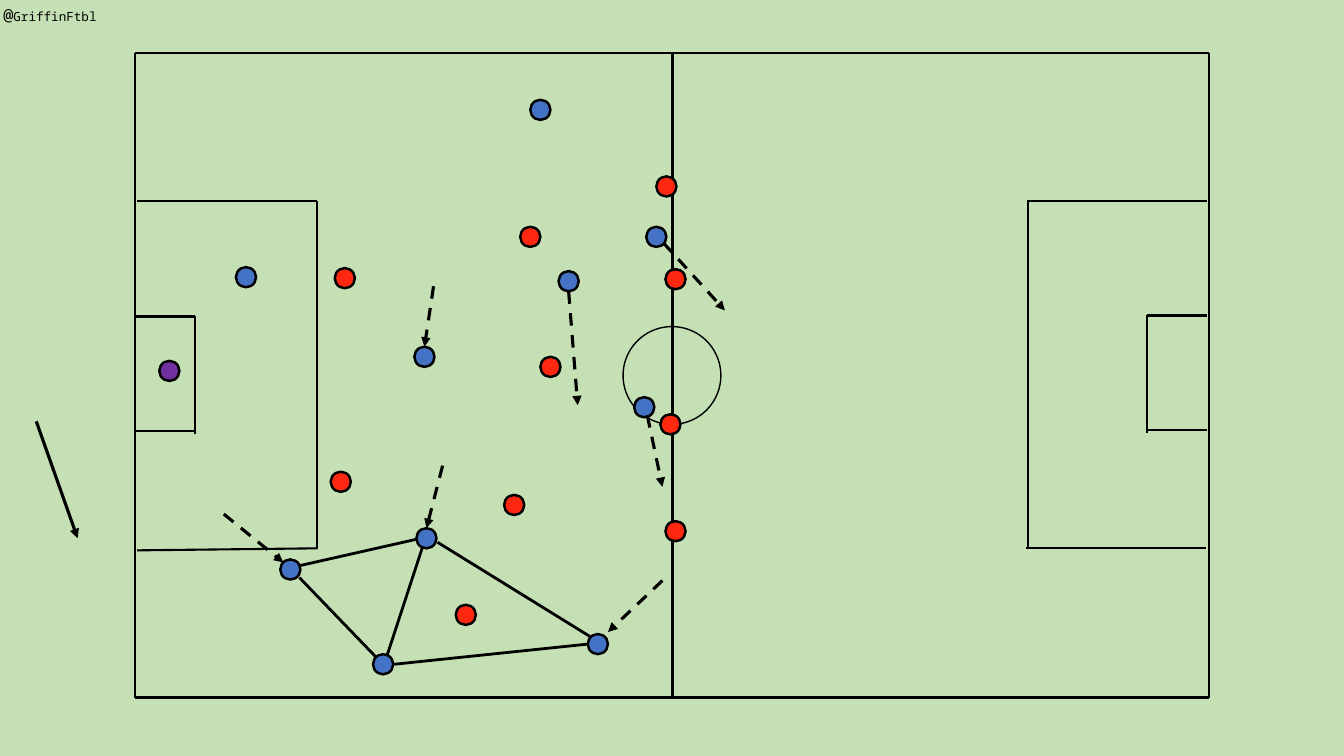
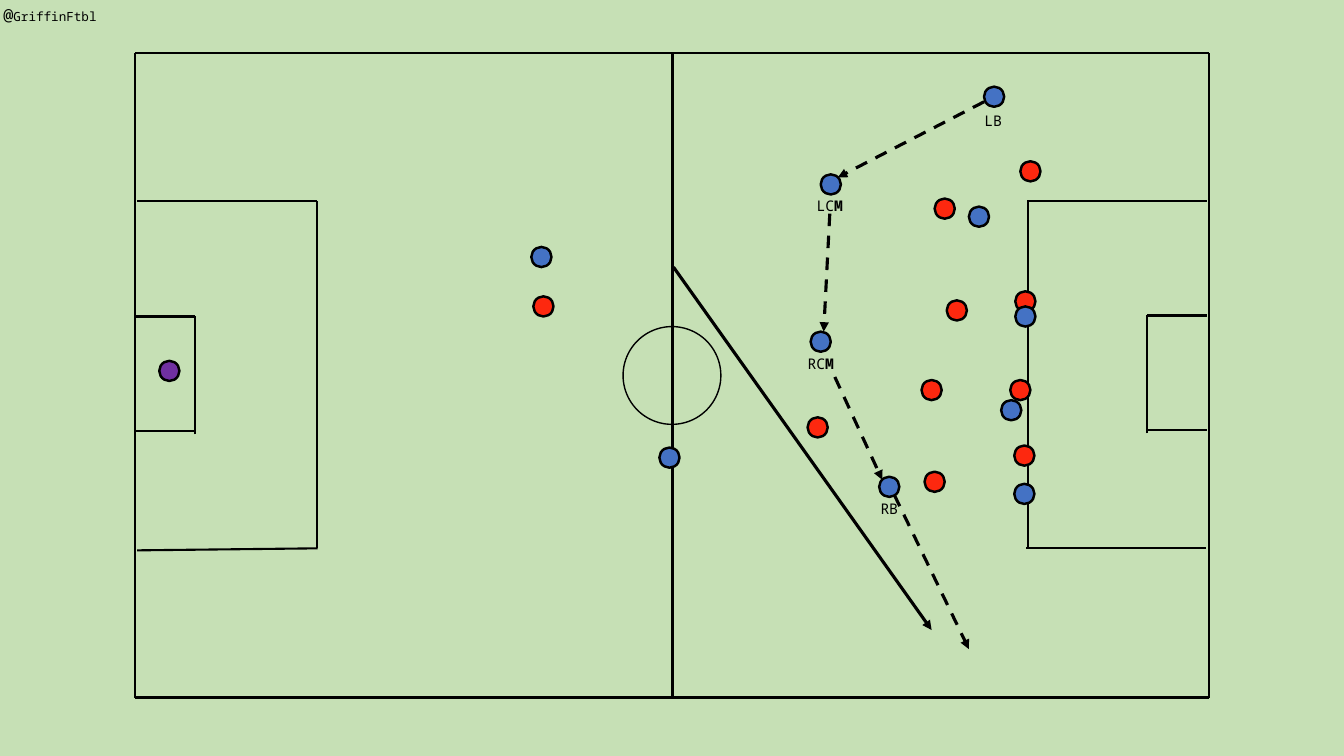
"""Build two football tactics boards on a shared pitch."""
import pptx
import pptx.dml.color
import pptx.enum.dml
import pptx.enum.shapes
import pptx.enum.text
import pptx.oxml.ns
import pptx.oxml.xmlchemy
import pptx.util

Inches = pptx.util.Inches
Pt = pptx.util.Pt
COLORS = {"grass": "C6E0B5", "ink": "000000", "blue": "4472C4",
          "red": "FD280F", "keeper": "7030A0"}
FONT = "Noto Sans Mono"
DOT = 0.2
KEEPER = (1.58, 3.58)
DASH = pptx.enum.dml.MSO_LINE.DASH
MARK = {"width": Pt(1.5)}
LINK = {"width": Pt(2)}
ARROW = {"width": Pt(2.25)}
RUN = {"width": Pt(2.25), "dash_style": DASH}
FRAME = {"word_wrap": True,
         "auto_size": pptx.enum.text.MSO_AUTO_SIZE.SHAPE_TO_FIT_TEXT}

LEFT, TOP, RIGHT, BASE = 1.34, 0.53, 11.99, 6.92
HALF = 6.67
PITCH = [
    (LEFT, TOP, LEFT, BASE), (RIGHT, BASE, LEFT, BASE),
    (RIGHT, TOP, RIGHT, BASE), (RIGHT, TOP, LEFT, TOP),
    (HALF, TOP, HALF, BASE),
    (LEFT, 3.14, 1.93, 3.14), (LEFT, 4.28, 1.93, 4.28),
    (1.93, 4.31, 1.93, 3.14),
    (11.38, 3.13, 11.97, 3.13), (11.38, 4.27, 11.97, 4.27),
    (11.38, 4.3, 11.38, 3.13),
    (3.14, 5.44, 3.14, 1.99), (1.36, 1.99, 3.14, 1.99),
    (1.36, 5.46, 3.15, 5.44),
    (10.19, 1.99, 11.97, 1.99), (10.18, 5.44, 11.96, 5.44),
    (10.2, 5.44, 10.2, 1.99),
]

BOARDS = [
    {
        "arrow": (0.36, 4.18, 0.77, 5.34),
        "red": [(6.6, 5.17), (6.6, 2.67), (3.32, 2.66), (6.51, 1.75),
                (6.55, 4.11), (5, 4.91), (3.28, 4.68), (5.36, 3.54),
                (4.52, 6), (5.16, 2.25)],
        "blue": [(2.78, 5.55), (2.34, 2.65), (3.7, 6.49), (5.26, 0.99),
                 (5.54, 2.69), (4.11, 3.44), (4.13, 5.24), (6.41, 2.25),
                 (6.29, 3.94), (5.83, 6.29)],
        "labels": [],
        "runs": [(2.22, 5.1, 2.81, 5.58), (4.39, 4.62, 4.23, 5.24),
                 (6.57, 5.76, 6.03, 6.27), (6.42, 4.12, 6.57, 4.83),
                 (6.58, 2.41, 7.19, 3.08), (4.3, 2.84, 4.21, 3.44),
                 (5.64, 2.89, 5.73, 4.02)],
        "links": [(2.97, 5.73, 3.73, 6.52), (2.98, 5.61, 4.13, 5.35),
                  (4.19, 5.43, 3.84, 6.5), (5.83, 6.39, 3.91, 6.59),
                  (5.86, 6.32, 4.34, 5.38)],
    },
    {
        "arrow": (6.68, 2.65, 9.24, 6.25),
        "red": [(10.06, 4.42), (10.07, 2.89), (5.29, 2.94), (10.12, 1.6),
                (10.02, 3.77), (9.14, 3.77), (8.01, 4.14), (9.39, 2.98),
                (9.17, 4.68), (9.27, 1.97)],
        "blue": [(6.54, 4.44), (5.27, 2.45), (8.72, 4.73), (9.76, 0.86),
                 (9.61, 2.05), (8.14, 1.73), (8.04, 3.29), (10.07, 3.04),
                 (9.93, 3.97), (10.06, 4.8)],
        "labels": [(7.92, 1.9, "LC", "M"), (7.83, 3.47, "RC", "M"),
                   (9.54, 1.06, "LB", ""), (8.51, 4.91, "RB", "")],
        "runs": [(8.87, 4.91, 9.61, 6.44), (8.28, 3.74, 8.75, 4.76),
                 (8.23, 2.12, 8.17, 3.29), (9.76, 1.01, 8.31, 1.76)],
        "links": [],
    },
]


def tint(name):
    """Return the named colour."""
    return pptx.dml.color.RGBColor.from_string(COLORS[name])


def apply(item, form):
    """Set each format value on the item."""
    for name, value in form.items():
        setattr(item, name, value)


def add_line(shapes, ends, form, head=False):
    """Draw a straight line, with an arrowhead if asked."""
    kind = pptx.enum.shapes.MSO_CONNECTOR.STRAIGHT
    line = shapes.add_connector(kind, *map(Inches, ends))
    line.line.color.rgb = tint("ink")
    apply(line.line, form)
    props = line.element.spPr
    make = pptx.oxml.xmlchemy.OxmlElement
    if head:
        tail = make("a:tailEnd")
        tail.set("type", "triangle")
        props.find(pptx.oxml.ns.qn("a:ln")).append(tail)
    props.append(make("a:effectLst"))


def add_disc(shapes, spot, size, width, fill=None):
    """Draw an outlined circle, filled if a colour is named."""
    kind = pptx.enum.shapes.MSO_SHAPE.OVAL
    disc = shapes.add_shape(kind, *map(Inches, (*spot, size, size)))
    disc.shadow.inherit = False
    if fill:
        disc.fill.solid()
        disc.fill.fore_color.rgb = tint(fill)
    else:
        disc.fill.background()
    disc.line.color.rgb = tint("ink")
    disc.line.width = Pt(width)


def add_text(shapes, box, parts):
    """Write a centred line from text and format pairs."""
    frame = shapes.add_textbox(*map(Inches, box)).text_frame
    apply(frame, FRAME)
    para = frame.paragraphs[0]
    para.alignment = pptx.enum.text.PP_ALIGN.CENTER
    for text, form in parts:
        run = para.add_run()
        run.text = text
        apply(run.font, {"name": FONT, **form})
        run.font.color.rgb = tint("ink")


def add_pitch(shapes):
    """Draw the pitch markings as one group."""
    group = shapes.add_group_shape().shapes
    for ends in PITCH:
        add_line(group, ends, MARK)
    add_disc(group, (6.18, 3.24), 0.97, 1)


def add_board(deck, board):
    """Add one slide with its players, labels and moves."""
    shapes = deck.slides.add_slide(deck.slide_layouts[6]).shapes
    add_line(shapes, board["arrow"], ARROW, True)
    add_text(shapes, (-0.68, 0, 2.35, 0.3),
             [("@", {"size": Pt(12)}), ("GriffinFtbl", {"size": Pt(9)})])
    add_pitch(shapes)
    for team, spots in (("red", board["red"]), ("blue", board["blue"]),
                        ("keeper", [KEEPER])):
        for spot in spots:
            add_disc(shapes, spot, DOT, 1.75, team)
    for left, top, plain, bold in board["labels"]:
        parts = [(plain, {"size": Pt(10.5)})]
        if bold:
            parts.append((bold, {"size": Pt(10.5), "bold": True}))
        add_text(shapes, (left, top, 0.62, 0.28), parts)
    for ends in board["runs"]:
        add_line(shapes, ends, RUN, True)
    for ends in board["links"]:
        add_line(shapes, ends, LINK)


def main():
    """Build and save the deck."""
    deck = pptx.Presentation()
    apply(deck, {"slide_width": Inches(13.33), "slide_height": Inches(7.5)})
    fill = deck.slide_master.background.fill
    fill.solid()
    fill.fore_color.rgb = tint("grass")
    for board in BOARDS:
        add_board(deck, board)
    deck.save("out.pptx")


if __name__ == "__main__":
    main()
